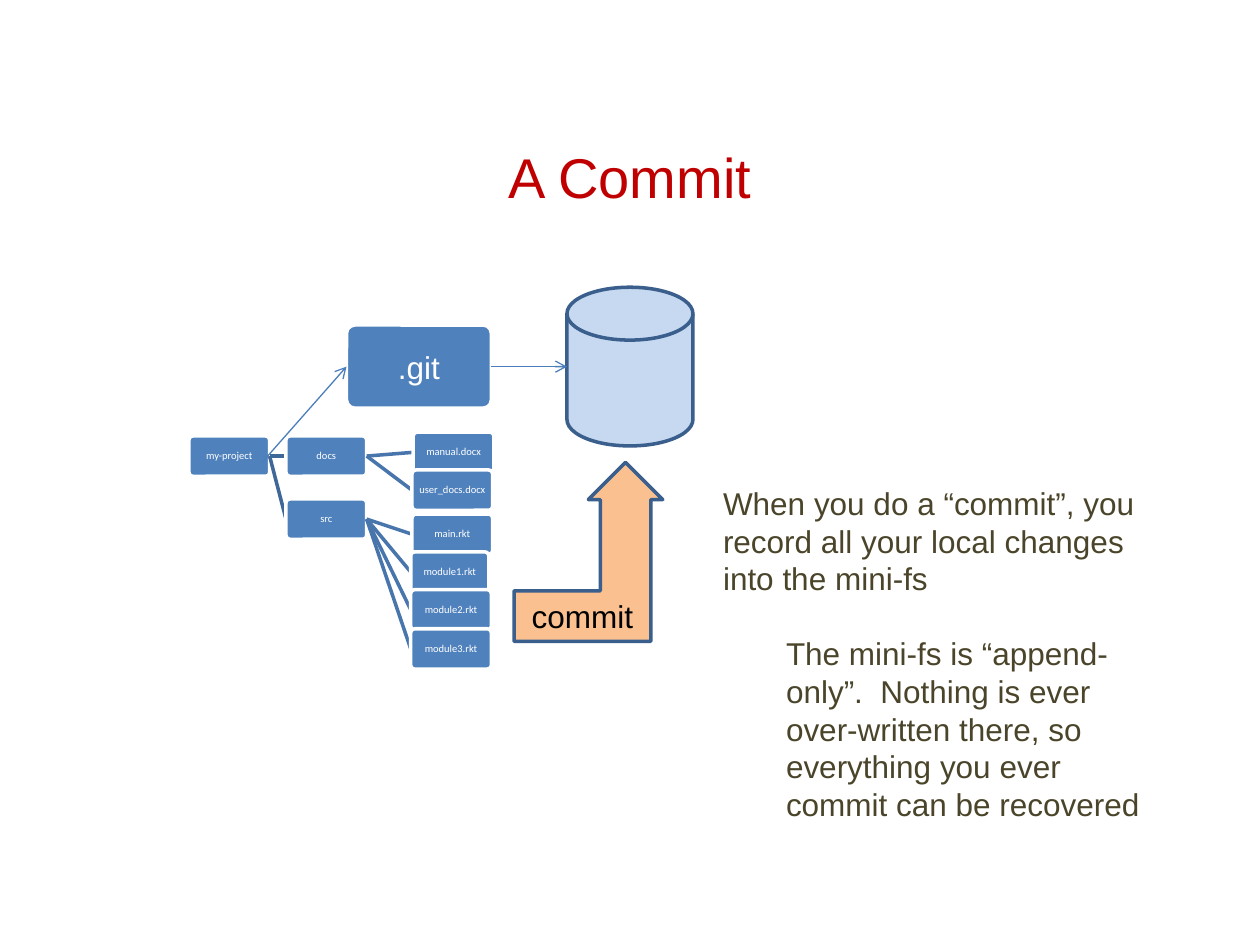
from lxml import etree
from pptx import Presentation
from pptx.dml.color import RGBColor
from pptx.enum.shapes import MSO_CONNECTOR, MSO_SHAPE
from pptx.enum.text import MSO_ANCHOR, PP_ALIGN
from pptx.oxml.ns import qn
from pptx.util import Inches, Pt

BLUE = RGBColor(0x4F, 0x81, 0xBD)
DARK_BLUE = RGBColor(0x3A, 0x5F, 0x8C)
PALE_BLUE = RGBColor(0xC6, 0xD9, 0xF1)
ARROW_BLUE = RGBColor(0x4B, 0x7E, 0xBC)
BRANCH_BLUE = RGBColor(0x3F, 0x67, 0x97)
LEAF_BLUE = RGBColor(0x48, 0x75, 0xAC)
ORANGE = RGBColor(0xFA, 0xC0, 0x90)
RED = RGBColor(0xC0, 0x00, 0x00)
OLIVE = RGBColor(0x4A, 0x45, 0x2A)
WHITE = RGBColor(0xFF, 0xFF, 0xFF)
BLACK = RGBColor(0x00, 0x00, 0x00)

ROUNDED = MSO_SHAPE.ROUNDED_RECTANGLE
DISK = MSO_SHAPE.FLOWCHART_MAGNETIC_DISK
BENT_ARROW = MSO_SHAPE.BENT_UP_ARROW
STRAIGHT = MSO_CONNECTOR.STRAIGHT
CENTER = PP_ALIGN.CENTER
LEFT = PP_ALIGN.LEFT
MIDDLE = MSO_ANCHOR.MIDDLE

NODE_WIDTH = 0.64
NODE_HEIGHT = 0.32
LINK_COLORS = [BRANCH_BLUE, LEAF_BLUE]

PROJECT_TREE = ("my-project", 1.5, 3.46, [
    ("docs", 2.27, 3.46, [
        ("manual.docx", 3.28, 3.43, []),
        ("user_docs.docx", 3.27, 3.73, []),
    ]),
    ("src", 2.27, 3.96, [
        ("main.rkt", 3.27, 4.08, []),
        ("module1.rkt", 3.26, 4.38, []),
        ("module2.rkt", 3.26, 4.68, []),
        ("module3.rkt", 3.26, 4.99, []),
    ]),
])
NODE_WIDTHS = {"module1.rkt": 0.62}


class CommitSlide:
    font_name = "Arial"
    text_size = 18
    outline_width = 2

    def __init__(self, presentation):
        self.slide = presentation.slides.add_slide(presentation.slide_layouts[5])

    def add_text(self, paragraph, text, color, size=text_size, font=font_name, align=CENTER):
        paragraph.alignment = align
        run = paragraph.add_run()
        run.text = text
        run.font.name = font
        run.font.size = Pt(size)
        run.font.color.rgb = color

    def title(self, text, left, top, width, height):
        title = self.slide.shapes.title
        title.left, title.top = Inches(left), Inches(top)
        title.width, title.height = Inches(width), Inches(height)
        title.text_frame.vertical_anchor = MIDDLE
        self.add_text(title.text_frame.paragraphs[0], text, RED, size=32)

    def shape(self, kind, left, top, width, height, fill, line, adjustments=()):
        shape = self.slide.shapes.add_shape(
            kind, Inches(left), Inches(top), Inches(width), Inches(height))
        shape.shadow.inherit = False
        shape.fill.solid()
        shape.fill.fore_color.rgb = fill
        shape.line.color.rgb = line
        shape.line.width = Pt(self.outline_width)
        for index, value in enumerate(adjustments):
            shape.adjustments[index] = value
        shape.text_frame.vertical_anchor = MIDDLE
        return shape

    def box(self, left, top, width, height):
        return self.shape(ROUNDED, left, top, width, height, BLUE, WHITE, [0.1])

    def line(self, start, end, color, width, arrow=False):
        connector = self.slide.shapes.add_connector(
            STRAIGHT, *[Inches(value) for value in (*start, *end)])
        connector.line.color.rgb = color
        connector.line.width = Pt(width)
        properties = connector._element.spPr
        if arrow:
            etree.SubElement(properties.find(qn("a:ln")), qn("a:tailEnd"), type="arrow")
        etree.SubElement(properties, qn("a:effectLst"))

    def tree(self, node, depth=0, parent_end=None):
        name, left, top, children = node
        width = NODE_WIDTHS.get(name, NODE_WIDTH)
        middle = top + NODE_HEIGHT / 2
        if parent_end:
            self.line(parent_end, (left, middle), LINK_COLORS[depth - 1], self.outline_width)
        frame = self.box(left, top, width, NODE_HEIGHT).text_frame
        frame.margin_left = frame.margin_right = 0
        frame.margin_top = frame.margin_bottom = 0
        paragraph = frame.paragraphs[0]
        paragraph.line_spacing = 0.9
        self.add_text(paragraph, name, WHITE, size=6, font="Calibri")
        for child in children:
            self.tree(child, depth + 1, (left + width, middle))

    def explanation(self, left, top, width, height, main_text, detail_text):
        box = self.slide.shapes.add_textbox(
            Inches(left), Inches(top), Inches(width), Inches(height))
        frame = box.text_frame
        frame.word_wrap = True
        self.add_text(frame.paragraphs[0], main_text, OLIVE, align=LEFT)
        detail = frame.add_paragraph()
        detail.level = 1
        detail._p.get_or_add_pPr().set("marL", str(Inches(0.5)))
        detail.space_before = Pt(21)
        self.add_text(detail, detail_text, OLIVE, align=LEFT)


def main():
    presentation = Presentation()
    presentation.slide_width = Inches(10)
    presentation.slide_height = Inches(7.5)
    commit = CommitSlide(presentation)
    commit.title("A Commit", 0.5, 0.87, 9, 1.05)
    commit.tree(PROJECT_TREE)

    git_box = commit.box(2.75, 2.58, 1.15, 0.66)
    commit.add_text(git_box.text_frame.paragraphs[0], ".git", WHITE)
    commit.shape(DISK, 4.5, 2.28, 1, 1.26, PALE_BLUE, DARK_BLUE)
    commit.line((3.9, 2.91), (4.5, 2.91), ARROW_BLUE, 0.75, arrow=True)
    commit.line((2.08, 3.67), (2.75, 2.91), ARROW_BLUE, 0.75, arrow=True)

    commit_arrow = commit.shape(
        BENT_ARROW, 4.08, 3.67, 1.18, 1.42, ORANGE, DARK_BLUE, [0.34, 0.25, 0.25])
    commit.add_text(commit_arrow.text_frame.paragraphs[0], "commit", BLACK)

    commit.explanation(
        5.64, 3.79, 3.67, 2.52,
        "When you do a “commit”, you record all your local changes into the mini-fs",
        "The mini-fs is “append-only”.  Nothing is ever over-written there, "
        "so everything you ever commit can be recovered")
    presentation.save("out.pptx")


if __name__ == "__main__":
    main()
